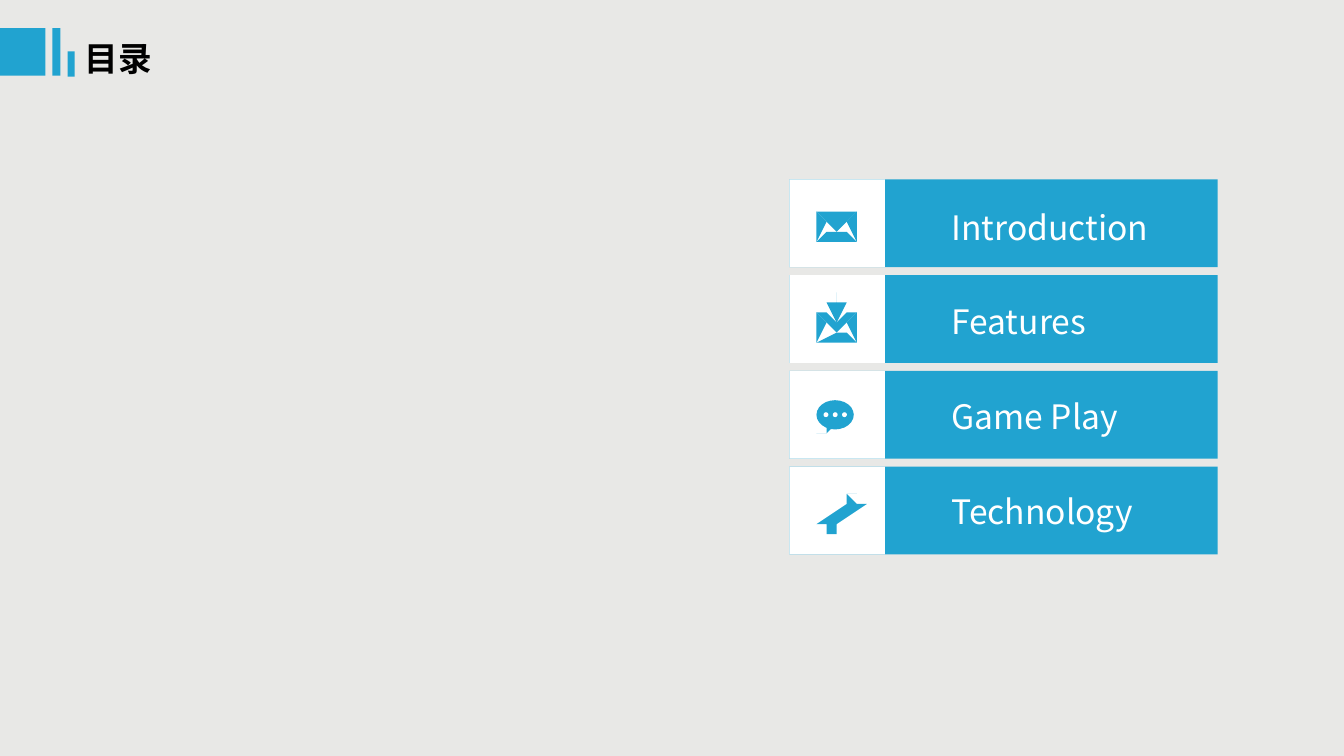
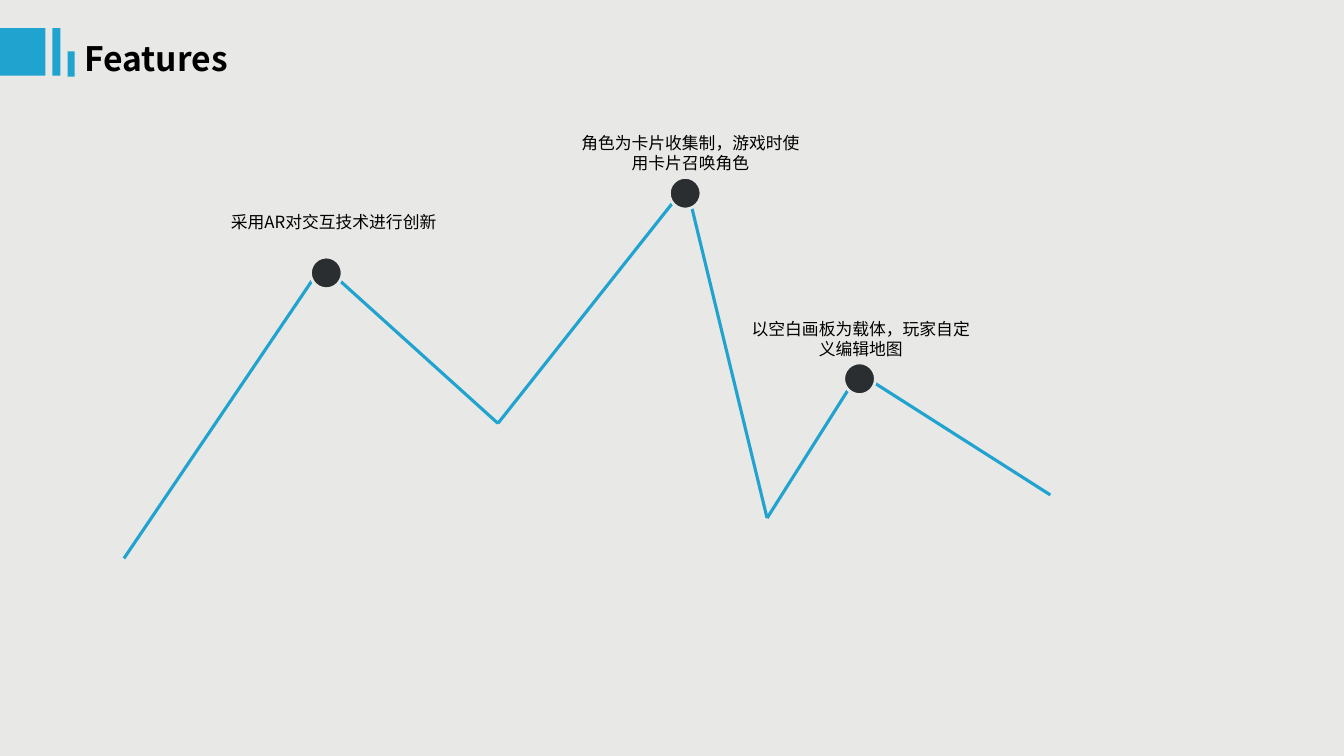
from itertools import pairwise

from lxml.etree import SubElement
from pptx import Presentation
from pptx.dml.color import RGBColor
from pptx.enum.shapes import MSO_CONNECTOR, MSO_SHAPE
from pptx.enum.text import MSO_AUTO_SIZE, PP_ALIGN
from pptx.oxml.ns import qn
from pptx.util import Inches, Pt

CELL = Inches(0.1)
COLUMNS, ROWS = 133.33, 75
FONT = "Noto Sans CJK SC"
BLUE, WHITE, BLACK = "21A3D0", "FFFFFF", "000000"
PAPER, CHARCOAL = "E8E8E6", "2B2E30"

BANDS = [(0, 2.8, 4.5, 4.7), (5.2, 2.8, 0.8, 4.7), (6.7, 5.1, 0.7, 2.5)]

MENU = ["Introduction", "Features", "Game Play", "Technology"]
MENU_LEFT, MENU_TOP, MENU_STEP = 78.3, 17.8, 9.5
MENU_WIDTH, MENU_HEIGHT, ICON_WIDTH = 42.5, 8.7, 9.5
LABEL_LEFT, LABEL_TOP, LABEL_STEP = 93.4, 20, 9.4

ARROW_NOTCH = [(0.3, 0), (0.43, 0.22), (0.5, 0.3), (0.57, 0.22), (0.7, 0)]
ARROW = [(82.8, 29.3), (83, 29.1), (83.2, 29.1), (83.4, 29.3), (83.4, 30.4),
         (84.1, 30.4), (84.2, 30.5), (83.2, 31.7), (83, 31.7), (81.9, 30.5),
         (82, 30.4), (82.8, 30.4)]
BUBBLE_TAIL = [(81.8, 42), (81.8, 42.4), (81.7, 42.8), (81.3, 43.1),
               (81.9, 43.1), (82.5, 42.6), (83.2, 42)]
WRENCH_CENTER = (83.4, 50.8)
WRENCH_HALF = [
    [(85.5, 49.5), (85.1, 49.9), (85.1, 49.8), (84.9, 49.8)],
    [(84.9, 49.8), (84.7, 49.8), (84.4, 49.5), (84.4, 49.3)],
    [(84.4, 49.3), (84.4, 49.1), (84.3, 49.1), (84.7, 48.7)],
    [(84.7, 48.7), (84.7, 48.7), (84.6, 48.6), (84.6, 48.6)],
    [(84.6, 48.6), (84.2, 48.7), (83.7, 49.1), (83.7, 49.6)],
    [(83.7, 49.6), (83.7, 49.7), (83.7, 49.8), (83.7, 49.9)],
]

TREND = [(12.3, 55.4), (32, 26.3), (49.4, 42), (68.1, 18.4),
         (76.1, 51.4), (85.2, 37), (104.2, 49.1)]
FEATURES = [
    ("采用AR对交互技术进行创新", (30.8, 25.5), (20.7, 20.5), 3.1),
    ("角色为卡片收集制，游戏时使用卡片召唤角色", (66.4, 17.6), (56.1, 12.7), 5.1),
    ("以空白画板为载体，玩家自定义编辑地图", (83.7, 36), (73, 31.1), 5.1),
]
DOT_SIZE, NOTE_WIDTH = 3.15, 24.8


def grid(*counts):
    return [round(count * CELL) for count in counts]


def color(code):
    return RGBColor.from_string(code)


def paint(shape, fill, line=None, weight=2):
    shape.shadow.inherit = False
    shape.fill.solid()
    shape.fill.fore_color.rgb = color(fill)
    if line:
        shape.line.color.rgb = color(line)
        shape.line.width = Pt(weight)
    else:
        shape.line.fill.background()


def add_block(page, area, fill, kind=MSO_SHAPE.RECTANGLE, line=None):
    paint(page.shapes.add_shape(kind, *grid(*area)), fill, line)


def add_outline(shapes, points):
    builder = shapes.build_freeform(*points[0], scale=CELL)
    builder.add_line_segments(points[1:], close=True)
    paint(builder.convert_to_shape(), BLUE)


def add_text(page, text, area, size, ink, bold=False, align=PP_ALIGN.LEFT):
    box = page.shapes.add_textbox(*grid(*area))
    frame = box.text_frame
    frame.word_wrap = True
    frame.auto_size = MSO_AUTO_SIZE.SHAPE_TO_FIT_TEXT
    para = frame.paragraphs[0]
    para.text = text
    para.alignment = align
    font = para.font
    font.size, font.bold, font.name = Pt(size), bold, FONT
    font.color.rgb = color(ink)
    defaults = para._p.pPr.find(qn("a:defRPr"))
    SubElement(defaults, qn("a:ea")).set("typeface", FONT)


def add_line(page, start, end):
    line = page.shapes.add_connector(MSO_CONNECTOR.STRAIGHT, *grid(*start, *end))
    line.line.color.rgb = color(BLUE)
    line.line.width = Pt(2.25)
    SubElement(line._element.spPr, qn("a:effectLst"))


def add_page(deck, title, width):
    page = deck.slides.add_slide(deck.slide_layouts[6])
    for band in BANDS:
        add_block(page, band, BLUE)
    add_text(page, title, (7.4, 3.3, width, 5.3), 24, BLACK, bold=True)
    return page


def add_envelope(page, left, top, width, height, notch=()):
    group = page.shapes.add_group_shape()
    side = [(0, 0.04), (0, 0.93), (0.33, 0.47)]
    panels = [
        [(0.04, 0), *notch, (0.96, 0), (0.5, 0.57)],
        [(0.04, 1), (0.36, 0.5), (0.5, 0.67), (0.64, 0.5), (0.96, 1)],
        side,
        [(1 - across, down) for across, down in side],
    ]
    for panel in panels:
        add_outline(group.shapes, [(left + across * width, top + down * height)
                                   for across, down in panel])
    return group


def add_bubble(page):
    add_block(page, (81, 39.7, 3.7, 2.9), BLUE, MSO_SHAPE.OVAL)
    add_outline(page.shapes, BUBBLE_TAIL)
    for index in range(3):
        add_block(page, (81.7 + 0.92 * index, 40.9, 0.48, 0.48), WHITE, MSO_SHAPE.OVAL)


def curve_points(curve, steps=8):
    weights = (1, 3, 3, 1)
    return [
        tuple(sum(weight * (1 - share) ** (3 - power) * share ** power * point[axis]
                  for power, (weight, point) in enumerate(zip(weights, curve)))
              for axis in (0, 1))
        for share in (step / steps for step in range(steps + 1))
    ]


def add_wrench(page):
    half = [point for curve in WRENCH_HALF for point in curve_points(curve)]
    middle, center = WRENCH_CENTER
    turned = [(2 * middle - across, 2 * center - down) for across, down in half]
    add_outline(page.shapes, half + turned)


def build_contents(deck):
    page = add_page(deck, "目录", 9.6)
    for index, label in enumerate(MENU):
        top = MENU_TOP + index * MENU_STEP
        add_block(page, (MENU_LEFT, top, MENU_WIDTH, MENU_HEIGHT), BLUE)
        add_block(page, (MENU_LEFT, top, ICON_WIDTH, MENU_HEIGHT), WHITE)
        label_top = LABEL_TOP + index * LABEL_STEP
        add_text(page, label, (LABEL_LEFT, label_top, 22.8, 5.3), 24, WHITE)
    add_envelope(page, 80.75, 21.05, 4.5, 3)
    download = add_envelope(page, 81.1, 31.2, 4, 2.7, ARROW_NOTCH)
    add_outline(download.shapes, ARROW)
    add_bubble(page)
    add_wrench(page)


def build_features(deck):
    page = add_page(deck, "Features", 21.4)
    for start, end in pairwise(TREND):
        add_line(page, start, end)
    for note, dot, corner, height in FEATURES:
        add_block(page, (*dot, DOT_SIZE, DOT_SIZE), CHARCOAL, MSO_SHAPE.OVAL, PAPER)
        add_text(page, note, (*corner, NOTE_WIDTH, height), 12, BLACK,
                 align=PP_ALIGN.CENTER)


def main():
    deck = Presentation()
    deck.slide_width, deck.slide_height = grid(COLUMNS, ROWS)
    backdrop = deck.slide_master.background.fill
    backdrop.solid()
    backdrop.fore_color.rgb = color(PAPER)
    build_contents(deck)
    build_features(deck)
    deck.save("out.pptx")


if __name__ == "__main__":
    main()
